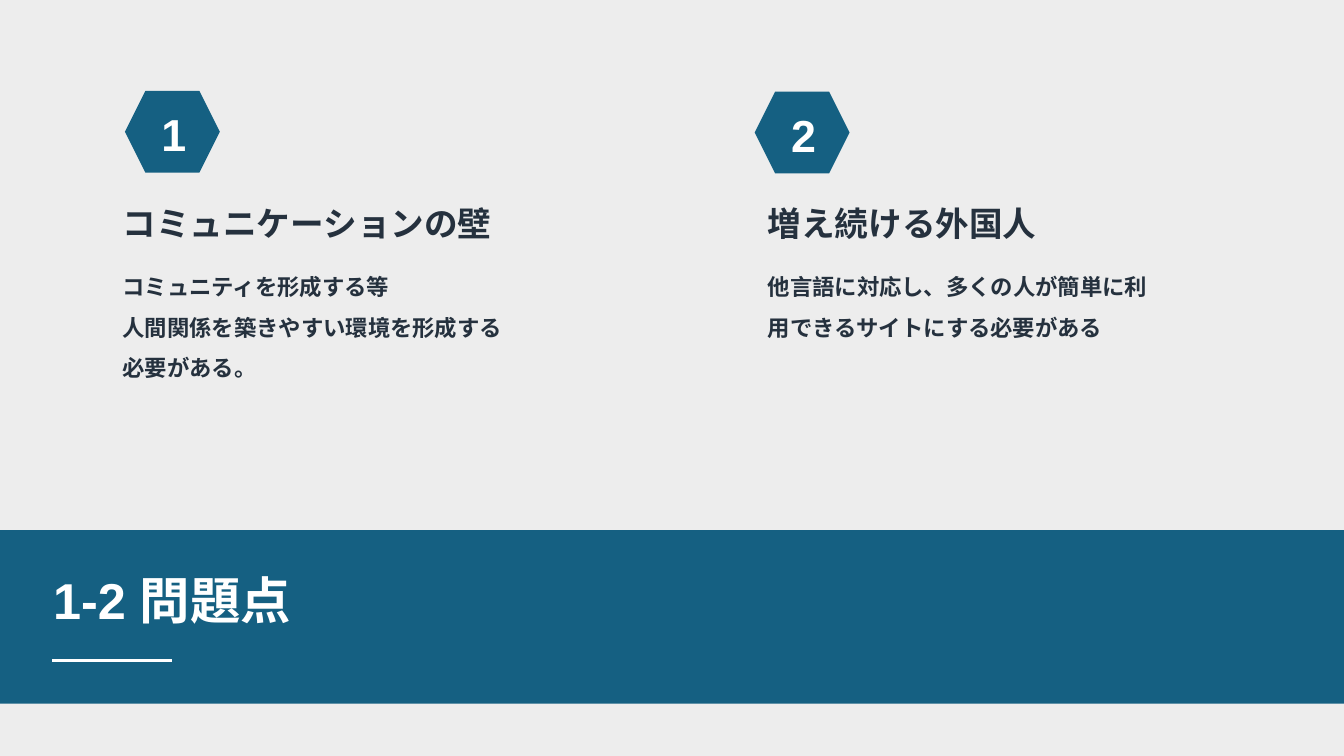
from lxml import etree
from pptx import Presentation
from pptx.dml.color import RGBColor
from pptx.enum import shapes, text
from pptx.oxml import ns
from pptx.util import Cm, Pt

COLORS = {"ground": "EDEDED", "blue": "156082", "ink": "25313E", "white": "FFFFFF"}

PROBLEMS = [
    {
        "number": "1",
        "badge": (3.15, 2.29),
        "left": 2.84,
        "heading": "コミュニケーションの壁",
        "body": ["コミュニティを形成する等", "人間関係を築きやすい環境を形成する必要がある。"],
    },
    {
        "number": "2",
        "badge": (19.02, 2.31),
        "left": 19.1,
        "heading": "増え続ける外国人",
        "body": ["他言語に対応し、多くの人が簡単に利用できるサイトにする必要がある"],
    },
]


def color(name):
    return RGBColor.from_string(COLORS[name])


def add_block(parent, kind, left, top, width, height):
    block = parent.add_shape(kind, Cm(left), Cm(top), Cm(width), Cm(height))
    block.shadow.inherit = False
    block.fill.solid()
    block.fill.fore_color.rgb = color("blue")
    block.line.fill.background()


def add_text(parent, lines, box, size, ink, align=text.PP_ALIGN.LEFT,
             anchor=text.MSO_ANCHOR.TOP, spacing=1.0):
    frame = parent.add_textbox(*map(Cm, box)).text_frame
    frame.word_wrap = True
    frame.vertical_anchor = anchor
    frame.text = "\n".join(lines)
    for paragraph in frame.paragraphs:
        paragraph.alignment = align
        paragraph.line_spacing = spacing
        paragraph.font.name = "Arial"
        paragraph.font.size = Pt(size)
        paragraph.font.bold = True
        paragraph.font.color.rgb = color(ink)


def add_badge(slide, number, left, top):
    badge = slide.shapes.add_group_shape().shapes
    add_block(badge, shapes.MSO_SHAPE.HEXAGON, left, top, 2.39, 2.06)
    add_text(badge, [number], (left + 0.06, top + 0.26, 2.34, 1.62), 32, "white",
             text.PP_ALIGN.CENTER, text.MSO_ANCHOR.MIDDLE)


def add_problem(slide, problem):
    add_badge(slide, problem["number"], *problem["badge"])
    left = problem["left"]
    add_text(slide.shapes, [problem["heading"]], (left, 4.47, 10.24, 1.65), 24, "ink",
             spacing=1.5)
    add_text(slide.shapes, problem["body"], (left, 6.43, 10.24, 2.21), 16, "ink",
             spacing=1.5)


def add_rule(slide, left, top, width):
    rule = slide.shapes.add_connector(
        shapes.MSO_CONNECTOR.STRAIGHT, Cm(left), Cm(top), Cm(left + width), Cm(top))
    rule.line.color.rgb = color("white")
    rule.line.width = Pt(2.25)
    etree.SubElement(rule.element.spPr, ns.qn("a:effectLst"))


def add_title_band(slide, title):
    add_block(slide.shapes, shapes.MSO_SHAPE.RECTANGLE, 0, 13.36, 33.87, 4.37)
    add_text(slide.shapes, [title], (1.09, 14.2, 8.15, 1.8), 36, "white",
             anchor=text.MSO_ANCHOR.MIDDLE)
    add_rule(slide, 1.32, 16.64, 3.02)


def main():
    deck = Presentation()
    deck.slide_width, deck.slide_height = Cm(33.87), Cm(19.05)
    slide = deck.slides.add_slide(deck.slide_layouts[6])
    slide.background.fill.solid()
    slide.background.fill.fore_color.rgb = color("ground")
    add_title_band(slide, "1-2 問題点")
    for problem in PROBLEMS:
        add_problem(slide, problem)
    deck.save("out.pptx")


if __name__ == "__main__":
    main()
